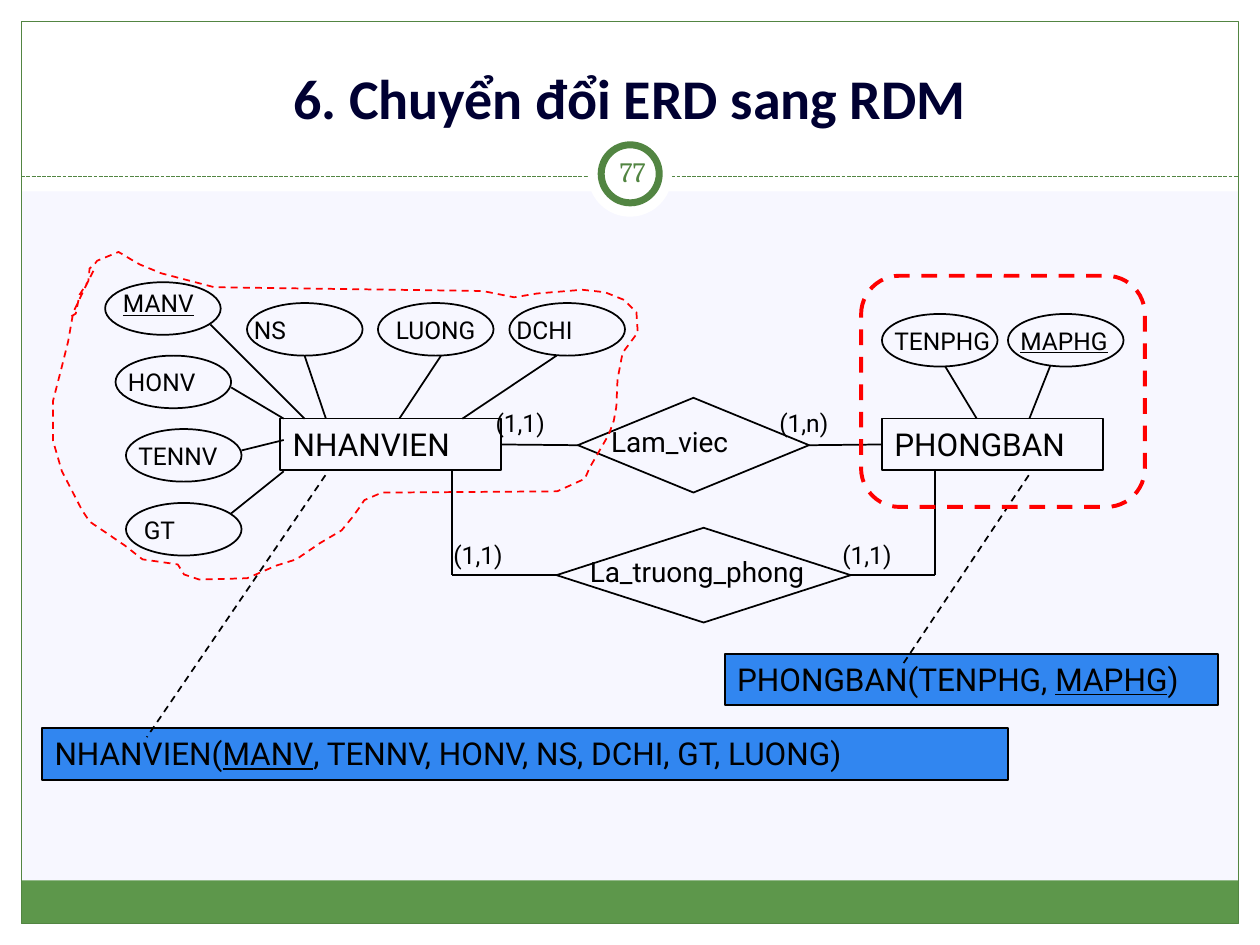
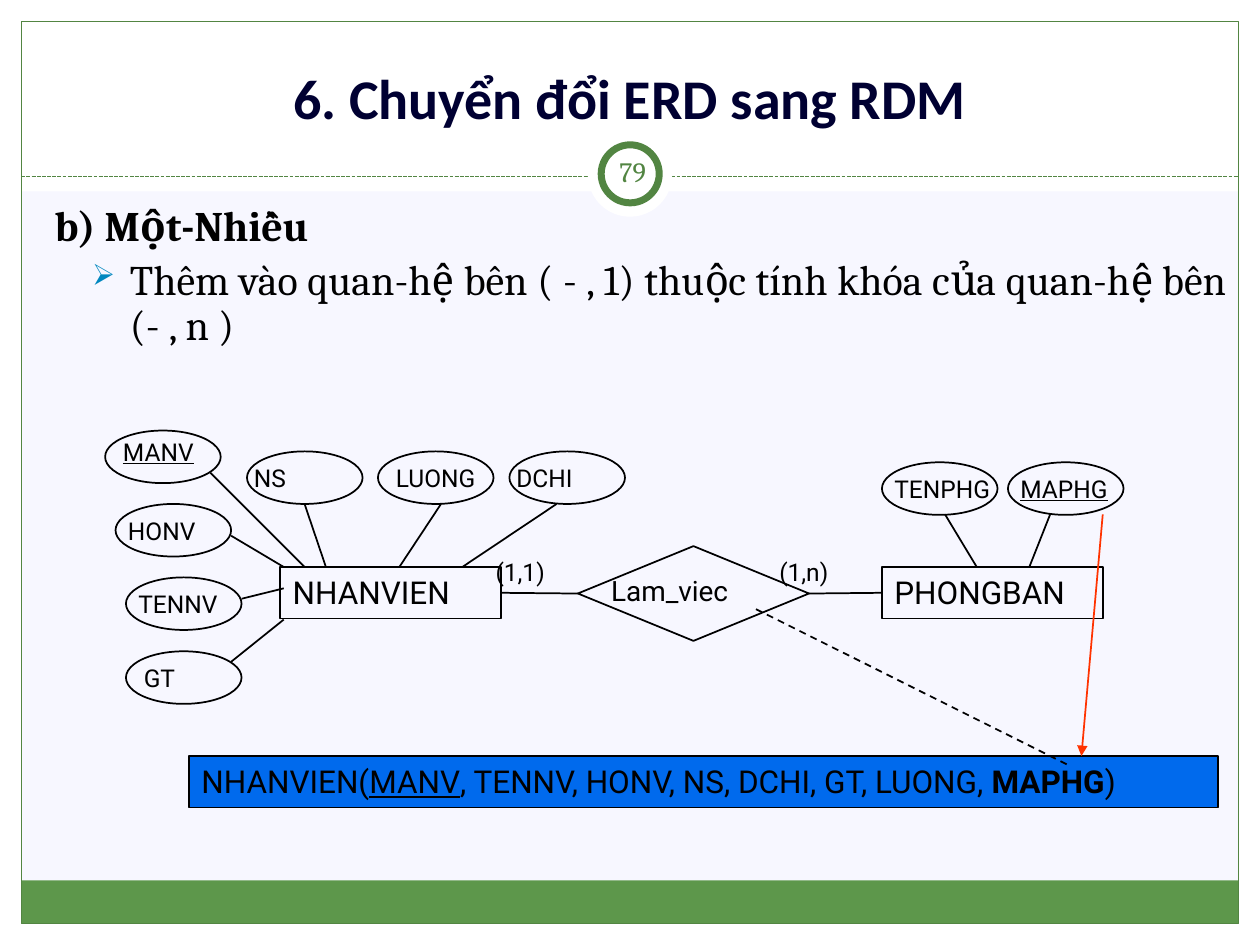
from lxml.etree import SubElement
from pptx import Presentation
from pptx.dml.color import RGBColor
from pptx.enum.dml import MSO_LINE
from pptx.enum.shapes import MSO_CONNECTOR, MSO_SHAPE
from pptx.enum.text import MSO_ANCHOR, PP_ALIGN
from pptx.oxml.ns import qn
from pptx.util import Cm, Pt

WHITE = RGBColor(0xFF, 0xFF, 0xFF)
BLACK = RGBColor(0, 0, 0)
PALE = RGBColor(0xF7, 0xF7, 0xFF)
NAVY = RGBColor(0, 0, 0x32)
GREEN = RGBColor(0x52, 0x85, 0x42)
FOOTER_GREEN = RGBColor(0x5D, 0x97, 0x4B)
BLUE = RGBColor(0x00, 0x6A, 0xED)
RED = RGBColor(0xFF, 0, 0)
ORANGE_RED = RGBColor(0xFF, 0x33, 0)
BULLET_BLUE = "0087BF"

TITLE = "6. Chuyển đổi ERD sang RDM"
WIDTH, HEIGHT = 25.4, 19.05
EDGE = 0.43
OVAL_WIDTH, OVAL_HEIGHT = 2.33, 1.06
ENTITY_WIDTH, BAR_HEIGHT = 4.45, 1.04
DIAMOND_HEIGHT = 1.91
LABEL_HEIGHT = 0.85
DIAGRAM_LEFT = 2.12

# name, oval left and top, label shift and width, line start at the entity, line end
EMPLOYEE_ATTRIBUTES = [
    ("MANV", (0, 0), (0.11, 0), 2.12, (4.02, 2.75), (2.12, 0.85)),
    ("HONV", (0.21, 1.48), (0, 0.11), 2.33, (3.6, 2.75), (2.54, 2.12)),
    ("TENNV", (0.42, 2.96), (0, 0.11), 2.33, (3.6, 3.18), (2.75, 3.39)),
    ("GT", (0.42, 4.45), (0.11, 0.11), 2.12, (3.6, 3.81), (2.54, 4.66)),
    ("NS", (2.86, 0.42), (-0.11, 0.11), 2.54, (4.45, 2.75), (4.02, 1.48)),
    ("LUONG", (5.5, 0.42), (0.11, 0.11), 2.12, (5.93, 2.75), (6.77, 1.48)),
    ("DCHI", (8.15, 0.42), (-0.11, 0.11), 2.33, (7.2, 2.75), (9.1, 1.48)),
]
DEPARTMENT_ATTRIBUTES = [
    ("TENPHG", (15.66, 0.64), (0, 0.11), 2.54, (17.57, 2.75), (16.93, 1.69)),
    ("MAPHG", (18.2, 0.64), (0, 0.11), 2.54, (18.63, 2.75), (19.05, 1.69)),
]
KEYS = {"MANV", "MAPHG"}

# hundredths of 2.54 cm, from the top left of the outline
EMPLOYEE_OUTLINE = [
    (34, 15), (27, 29), (18, 48), (14, 71), (9, 91), (2, 118), (2, 150), (9, 174),
    (25, 205), (31, 214), (59, 233), (73, 244), (101, 248), (106, 256), (118, 260),
    (156, 259), (179, 249), (195, 244), (214, 231), (231, 221), (240, 210), (245, 203),
    (249, 197), (263, 191), (402, 190), (424, 180), (428, 171), (443, 145), (447, 134),
    (449, 123), (450, 101), (454, 80), (466, 64), (465, 48), (455, 38), (440, 32),
    (422, 30), (386, 33), (368, 36), (343, 31), (130, 28), (88, 17), (71, 10), (64, 6),
    (54, 0), (37, 7), (34, 11), (31, 13), (30, 23), (23, 34), (20, 49), (15, 52),
]


def write_text(shape, runs, size=14, font="Roboto", color=BLACK, bold=False,
               align=PP_ALIGN.LEFT, anchor=MSO_ANCHOR.TOP, inset=None):
    """Fill a shape with one paragraph; runs is a list of (text, style) where style holds u or b."""
    frame = shape.text_frame
    frame.word_wrap = True
    frame.vertical_anchor = anchor
    if inset is not None:
        frame.margin_left = frame.margin_right = Cm(inset)
        frame.margin_top = frame.margin_bottom = Cm(inset)
    add_runs(frame.paragraphs[0], runs, size, font, color, bold, align)


def add_runs(paragraph, runs, size, font, color, bold=False, align=PP_ALIGN.LEFT):
    paragraph.alignment = align
    for text, style in runs:
        run = paragraph.add_run()
        run.text = text
        run.font.size = Pt(size)
        run.font.name = font
        run.font.color.rgb = color
        run.font.bold = bold or "b" in style
        run.font.underline = "u" in style


def format_outline(line, color, width, dash=None):
    line.color.rgb = color
    line.width = Pt(width)
    if dash:
        line.dash_style = dash


def add_box(slide, kind, left, top, width, height, fill=None, line=None, line_width=1, dash=None):
    shape = slide.shapes.add_shape(kind, Cm(left), Cm(top), Cm(width), Cm(height))
    shape.shadow.inherit = False
    if fill is None:
        shape.fill.background()
    else:
        shape.fill.solid()
        shape.fill.fore_color.rgb = fill
    if line is None:
        shape.line.fill.background()
    else:
        format_outline(shape.line, line, line_width, dash)
    return shape


def add_label(slide, text, left, top, width, height=LABEL_HEIGHT, style="", **text_format):
    box = slide.shapes.add_textbox(Cm(left), Cm(top), Cm(width), Cm(height))
    write_text(box, [(text, style)], **text_format)


def add_line(slide, start, end, color=BLACK, width=1, dash=None, arrow=False):
    connector = slide.shapes.add_connector(
        MSO_CONNECTOR.STRAIGHT, *(Cm(length) for length in (*start, *end)))
    format_outline(connector.line, color, width, dash)
    properties = connector.element.spPr
    if arrow:
        SubElement(properties.find(qn("a:ln")), qn("a:tailEnd"), type="triangle")
    SubElement(properties, qn("a:effectLst"))
    return connector


def add_frame(slide, number):
    """Draw the bands, border, title and number badge that every slide has."""
    slide.background.fill.solid()
    slide.background.fill.fore_color.rgb = PALE
    inner_width = WIDTH - 2 * EDGE
    bands = [
        (0, HEIGHT - EDGE, WIDTH, EDGE, WHITE),
        (0, 0, WIDTH, 3.86, WHITE),
        (0, 0, EDGE, HEIGHT, WHITE),
        (WIDTH - EDGE, 0, EDGE, HEIGHT, WHITE),
        (EDGE, 17.75, inner_width, 0.87, FOOTER_GREEN),
    ]
    for *box, color in bands:
        add_box(slide, MSO_SHAPE.RECTANGLE, *box, fill=color)
    add_box(slide, MSO_SHAPE.RECTANGLE, EDGE, EDGE, inner_width, HEIGHT - 2 * EDGE,
            line=GREEN, line_width=0.75)
    add_line(slide, (EDGE, 3.56), (WIDTH - EDGE, 3.56), GREEN, 0.75, MSO_LINE.SQUARE_DOT)
    add_box(slide, MSO_SHAPE.OVAL, 11.85, 2.67, 1.7, 1.7, fill=WHITE)
    add_box(slide, MSO_SHAPE.OVAL, 12.12, 2.92, 1.17, 1.17, fill=WHITE, line=GREEN, line_width=4)
    add_label(slide, str(number), 12.12, 2.84, 1.27, 1.22, size=16, font="Cambria", color=GREEN,
              align=PP_ALIGN.CENTER, anchor=MSO_ANCHOR.MIDDLE, inset=0.13)

    title = slide.shapes.title
    slide.shapes.element.append(title.element)  # in front of the white band
    title.left, title.top, title.width, title.height = Cm(0.85), Cm(0.64), Cm(23.7), Cm(2.12)
    write_text(title, [(TITLE, "")], size=32, font="Calibri", color=NAVY, bold=True,
               align=PP_ALIGN.CENTER, anchor=MSO_ANCHOR.BOTTOM)


def add_entity(slide, name, left, top, attributes, entity_left):
    entity = add_box(slide, MSO_SHAPE.RECTANGLE, left + entity_left, top + 2.75,
                     ENTITY_WIDTH, BAR_HEIGHT, line=BLACK)
    write_text(entity, [(name, "")], size=18)
    for text, (x, y), (shift_x, shift_y), label_width, start, end in attributes:
        add_box(slide, MSO_SHAPE.OVAL, left + x, top + y, OVAL_WIDTH, OVAL_HEIGHT, line=BLACK)
        add_label(slide, text, left + x + shift_x, top + y + shift_y, label_width,
                  style="u" if text in KEYS else "")
        add_line(slide, (left + start[0], top + start[1]), (left + end[0], top + end[1]))
    return entity


def add_relationship(slide, name, left, top, width, label_width):
    diamond = add_box(slide, MSO_SHAPE.FLOWCHART_DECISION, left, top, width, DIAMOND_HEIGHT,
                      line=BLACK)
    add_label(slide, name, left + 0.42, top + 0.42, label_width, 0.93, size=16)
    return diamond


def add_works_in_diagram(slide, left, top):
    """Draw both entities and the relationship Lam_viec between them."""
    employee = add_entity(slide, "NHANVIEN", left, top, EMPLOYEE_ATTRIBUTES, 3.53)
    department = add_entity(slide, "PHONGBAN", left, top, DEPARTMENT_ATTRIBUTES, 15.66)
    works_in = add_relationship(slide, "Lam_viec", left + 9.53, top + 2.33, 4.66, 4.02)
    for first, second in ((employee, works_in), (works_in, department)):
        connector = add_line(slide, (left, top), (left, top))
        connector.begin_connect(first, 3)
        connector.end_connect(second, 1)
    for text, x in (("(1,1)", 7.62), ("(1,n)", 13.34)):
        add_label(slide, text, left + x, top + 2.42, 2.54)


def add_heads_relationship(slide, left, top):
    """Draw La_truong_phong below the entities, with its two bent links."""
    heads = add_relationship(slide, "La_truong_phong", left + 9.1, top + 4.95, 5.93, 5.29)
    corner_y = top + 4.95 + DIAMOND_HEIGHT / 2
    for x, side, label_x in ((6.99, 1, 6.77), (16.73, 3, 14.61)):
        corner = (left + x, corner_y)
        add_line(slide, (left + x, top + 3.81), corner)
        add_line(slide, corner, (left + 9.1, corner_y)).end_connect(heads, side)
        add_label(slide, "(1,1)", left + label_x, top + 5.08, 2.54)


def add_schema(slide, runs, left, top, width, opacity=100):
    bar = add_box(slide, MSO_SHAPE.RECTANGLE, left, top, width, BAR_HEIGHT, fill=BLUE, line=BLACK)
    if opacity < 100:
        color = bar.element.spPr.find(qn("a:solidFill")).find(qn("a:srgbClr"))
        SubElement(color, qn("a:alpha"), val=str(opacity * 1000))
    write_text(bar, runs, size=18)


def add_employee_outline(slide, left, top):
    start, *points = EMPLOYEE_OUTLINE
    builder = slide.shapes.build_freeform(*start, scale=Cm(2.54) / 100)
    builder.add_line_segments(points, close=False)
    outline = builder.convert_to_shape(Cm(left), Cm(top))
    outline.shadow.inherit = False
    outline.fill.background()
    format_outline(outline.line, RED, 1, MSO_LINE.DASH)


def add_rule_text(slide, left, top, width, height):
    box = slide.shapes.add_textbox(Cm(left), Cm(top), Cm(width), Cm(height))
    write_text(box, [("b) Một-Nhiều", "b")], size=24, font="Cambria")
    box.text_frame.paragraphs[0].line_spacing = 0.9
    rule = box.text_frame.add_paragraph()
    properties = rule._p.get_or_add_pPr()
    properties.set("marL", str(Cm(1.52)))
    properties.set("indent", str(Cm(-0.76)))
    SubElement(SubElement(properties, qn("a:buClr")), qn("a:srgbClr"), val=BULLET_BLUE)
    SubElement(properties, qn("a:buSzPct"), val="70000")
    SubElement(properties, qn("a:buChar"), char="➢")
    rule.line_spacing = 0.9
    rule.space_before = Pt(4.8)
    add_runs(rule, [("Thêm vào quan-hệ bên ( - , 1) thuộc tính khóa của quan-hệ bên (- , n )", "")],
             24, "Cambria", BLACK, align=PP_ALIGN.JUSTIFY)


def build_entities_slide(slide):
    add_frame(slide, 77)
    add_works_in_diagram(slide, DIAGRAM_LEFT, 5.69)
    add_heads_relationship(slide, DIAGRAM_LEFT, 5.69)
    add_schema(slide, [("NHANVIEN(", ""), ("MANV", "u"),
                       (", TENNV, HONV, NS, DCHI, GT, LUONG)", "")], 0.85, 14.68, 19.47, 80)
    add_schema(slide, [("PHONGBAN(TENPHG, ", ""), ("MAPHG", "u"), (")", "")],
               14.61, 13.18, 9.95, 80)
    add_line(slide, (6.56, 9.58), (2.96, 14.86), dash=MSO_LINE.DASH)
    add_line(slide, (20.74, 9.58), (18.2, 13.39), dash=MSO_LINE.DASH)
    add_box(slide, MSO_SHAPE.FLOWCHART_ALTERNATE_PROCESS, 17.36, 5.56, 5.72, 4.66,
            line=RED, line_width=2.25, dash=MSO_LINE.DASH)
    add_employee_outline(slide, 1.02, 5.08)


def build_one_to_many_slide(slide):
    add_frame(slide, 79)
    add_rule_text(slide, 0.85, 4.01, 24.13, 4.22)
    add_works_in_diagram(slide, DIAGRAM_LEFT, 8.68)
    add_schema(slide, [("NHANVIEN(", ""), ("MANV", "u"),
                       (", TENNV, HONV, NS, DCHI, GT, LUONG, ", ""), ("MAPHG", "b"), (")", "")],
               3.81, 15.24, 20.74)
    add_line(slide, (15.24, 12.28), (21.59, 15.45), dash=MSO_LINE.DASH)
    add_line(slide, (22.23, 10.37), (21.8, 15.24), ORANGE_RED, arrow=True)


def main():
    presentation = Presentation()
    presentation.slide_width, presentation.slide_height = Cm(WIDTH), Cm(HEIGHT)
    title_only = presentation.slide_layouts[5]
    for build in (build_entities_slide, build_one_to_many_slide):
        build(presentation.slides.add_slide(title_only))
    presentation.save("out.pptx")


if __name__ == "__main__":
    main()
